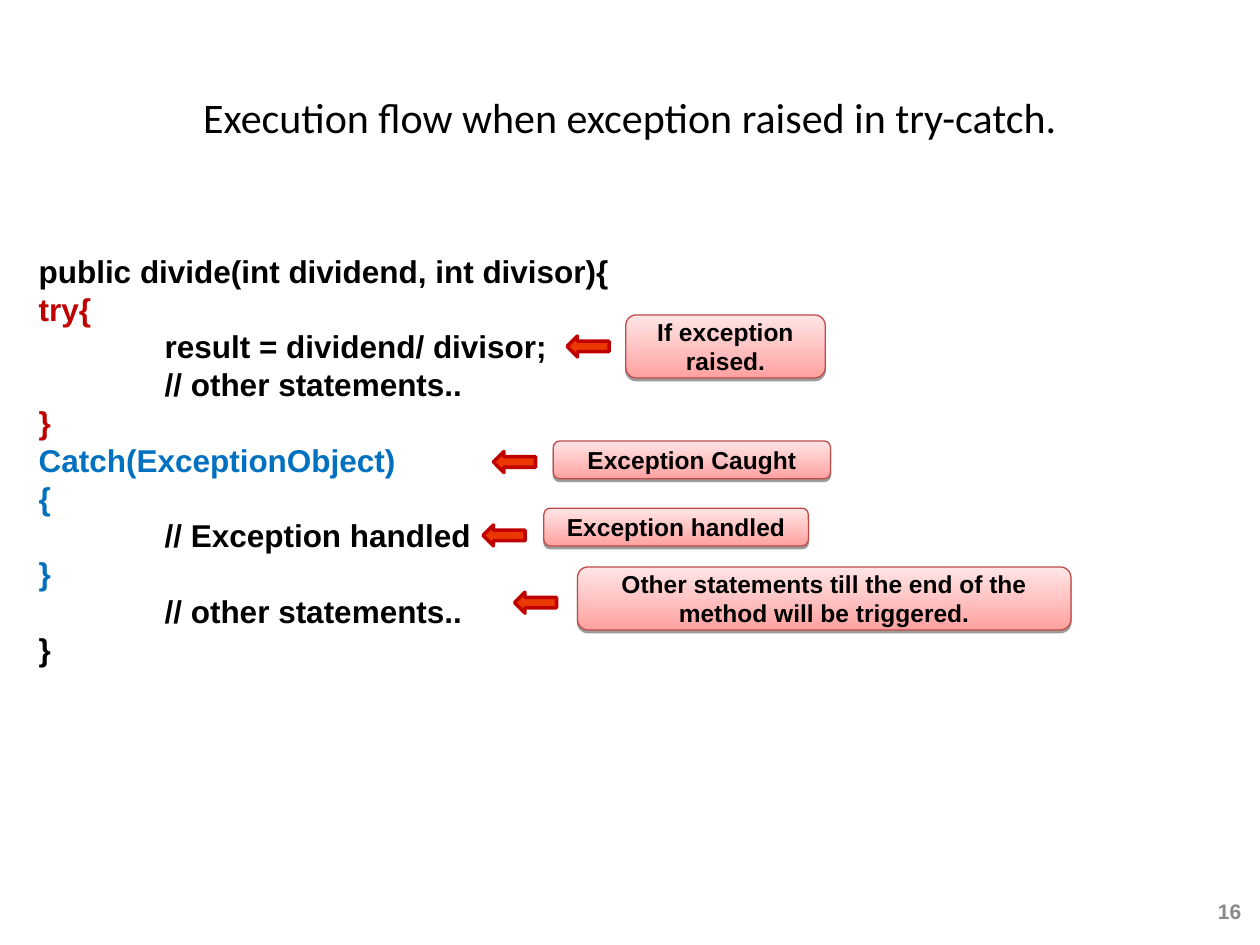
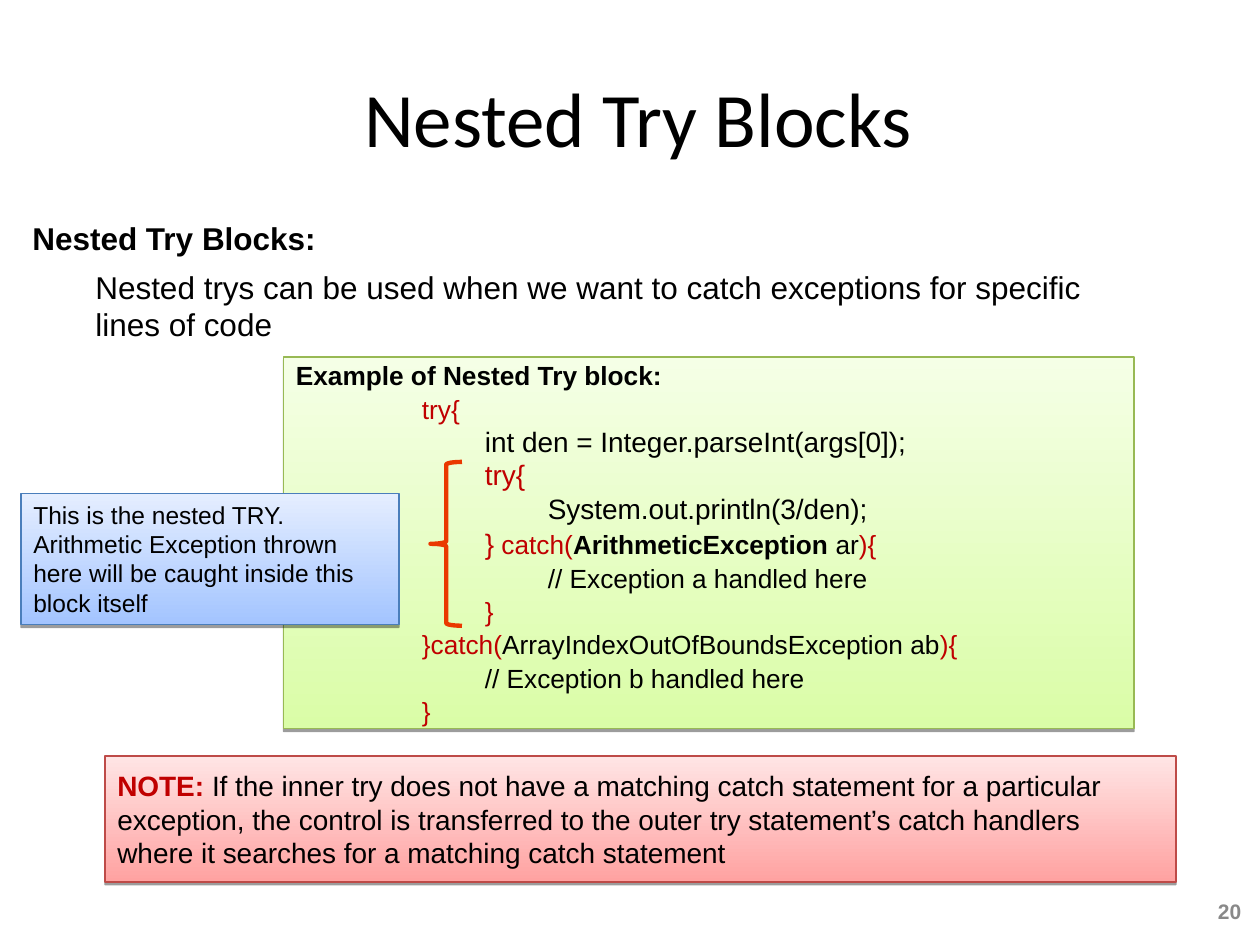
import pptx
import pptx.util
import pptx.dml.color
import pptx.enum.shapes
import pptx.enum.text
import pptx.oxml
import pptx.oxml.ns

Pt = pptx.util.Pt
MSO_SHAPE = pptx.enum.shapes.MSO_SHAPE
PP_ALIGN = pptx.enum.text.PP_ALIGN
MSO_ANCHOR = pptx.enum.text.MSO_ANCHOR

# Shared look
COLORS = {"black": "000000", "red": "C00000", "blue": "0070C0",
          "orange": "EA3800", "gray": "898989"}
# Panel styles: bottom colour, top colour, border
PANELS = {"pink": ("FFA2A1", "FFE5E5", "BE4B48"),
          "green": ("DAFDA7", "F5FFE6", "98B954"),
          "sky": ("A3C4FF", "E5EEFF", "4A7EBB")}
COLUMNS, ROWS = 120, 90
WIDTH, HEIGHT = pptx.util.Inches(10), pptx.util.Inches(7.5)
ARROW_SIZE = (4, 2)


def rgb(value):
    return pptx.dml.color.RGBColor.from_string(value)


def cells(left, top, width, height):
    """Turn grid columns and rows into slide lengths."""
    return (int(left * WIDTH / COLUMNS), int(top * HEIGHT / ROWS),
            int(width * WIDTH / COLUMNS), int(height * HEIGHT / ROWS))


def style_run(r, size, color="black", bold=False, font="Arial"):
    r.font.name, r.font.size, r.font.bold = font, Pt(size), bold
    r.font.color.rgb = rgb(COLORS[color])


def write(p, runs, size, align=PP_ALIGN.LEFT, indent=0, hanging=0, before=0):
    """Fill a paragraph with (text, colour, bold[, size]) runs; indents in inches."""
    pPr = p._p.get_or_add_pPr()
    pPr.set("marL", str(pptx.util.Inches(indent)))
    pPr.set("indent", str(pptx.util.Inches(-hanging)))
    p.alignment = align
    p.space_before = Pt(before)
    for text, color, bold, *own_size in runs:
        r = p.add_run()
        r.text = text
        style_run(r, own_size[0] if own_size else size, color, bold)


def paragraphs(tf):
    """Yield the first paragraph, then new ones."""
    yield tf.paragraphs[0]
    while True:
        yield tf.add_paragraph()


def set_frame(shape, anchor=MSO_ANCHOR.TOP):
    tf = shape.text_frame
    tf.word_wrap = True
    tf.vertical_anchor = anchor
    return tf


def add_text_box(s, box, anchor=MSO_ANCHOR.TOP):
    return set_frame(s.shapes.add_textbox(*cells(*box)), anchor)


def add_panel(s, box, style, shape=MSO_SHAPE.RECTANGLE, anchor=MSO_ANCHOR.TOP):
    """Gradient panel with a thin border and a short shadow below."""
    bottom, top, border = PANELS[style]
    sp = s.shapes.add_shape(shape, *cells(*box))
    sp.fill.gradient()
    sp.fill.gradient_angle = 90
    for stop, color, position in zip(sp.fill.gradient_stops, (bottom, top), (0, 1)):
        stop.color.rgb = rgb(color)
        stop.position = position
    sp.line.color.rgb = rgb(border)
    sp.line.width = Pt(0.75)
    sp.shadow.inherit = False
    effects = sp._element.spPr.find(pptx.oxml.ns.qn("a:effectLst"))
    effects.append(pptx.oxml.parse_xml(
        f'<a:outerShdw {pptx.oxml.ns.nsdecls("a")} blurRad="0" dist="20000" '
        'dir="5400000" rotWithShape="0"><a:srgbClr val="000000">'
        '<a:alpha val="38000"/></a:srgbClr></a:outerShdw>'))
    return set_frame(sp, anchor)


def add_callout(s, text, box, arrow):
    """Rounded pink label with a small arrow pointing at the code."""
    sp = s.shapes.add_shape(MSO_SHAPE.LEFT_ARROW, *cells(*arrow, *ARROW_SIZE))
    sp.shadow.inherit = False
    sp.fill.solid()
    sp.fill.fore_color.rgb = rgb(COLORS["orange"])
    sp.line.color.rgb = rgb(COLORS["red"])
    sp.line.width = Pt(2)
    tf = add_panel(s, box, "pink", MSO_SHAPE.ROUNDED_RECTANGLE, MSO_ANCHOR.MIDDLE)
    write(tf.paragraphs[0], [(text, "black", True)], 14, PP_ALIGN.CENTER)


def add_brace(s, box):
    sp = s.shapes.add_shape(MSO_SHAPE.LEFT_BRACE, *cells(*box))
    sp.shadow.inherit = False
    sp.fill.background()
    sp.line.color.rgb = rgb(COLORS["orange"])
    sp.line.width = Pt(2.5)


def add_slide(prs, title, size, number, shift=0):
    """Slide with a centred title and a page number; shift is in columns."""
    s = prs.slides.add_slide(prs.slide_layouts[5])
    sp = s.shapes.title
    sp.left, sp.top, sp.width, sp.height = cells(6 + shift, 3.6, 108, 15)
    tf = set_frame(sp, MSO_ANCHOR.MIDDLE)
    tf.text = title
    tf.paragraphs[0].alignment = PP_ALIGN.CENTER
    style_run(tf.paragraphs[0].runs[0], size, font="Calibri")
    tf = add_text_box(s, (113.5, 84.7, 5.9, 4.2), MSO_ANCHOR.MIDDLE)
    write(tf.paragraphs[0], [(str(number), "gray", True)], 12, PP_ALIGN.RIGHT)
    return s


def build_execution_flow(prs):
    s = add_slide(prs, "Execution flow when exception raised in try-catch.", 24, 16)

    # Code: indent in inches, text, colour
    code = [(0, "public divide(int dividend, int divisor){", "black"),
            (0, "try{", "red"),
            (1, "result = dividend/ divisor;", "black"),
            (1, "// other statements..", "black"),
            (0, "}", "red"),
            (0, "Catch(ExceptionObject)", "blue"),
            (0, "{", "blue"),
            (1, "// Exception handled", "black"),
            (0, "}", "blue"),
            (1, "// other statements..", "black"),
            (0, "}", "black")]
    tf = add_text_box(s, (2.5, 23.4, 58, 44.4))
    for (indent, text, color), p in zip(code, paragraphs(tf)):
        write(p, [(text, color, True)], 18, indent=indent)

    # Callouts: text, label box, arrow corner
    for text, box, arrow in [
            ("If exception raised.", (59.6, 30, 19, 6), (54, 32)),
            ("Exception Caught", (52.7, 42, 26.4, 3.6), (47, 43)),
            ("Exception handled", (51.8, 48.4, 25.2, 3.6), (46, 50)),
            ("Other statements till the end of the method will be triggered.",
             (55, 54, 47, 6), (49, 56.4))]:
        add_callout(s, text, box, arrow)


def build_nested_try(prs):
    s = add_slide(prs, "Nested Try Blocks", 44, 20, shift=0.8)

    # Example: indent in inches, space before, runs
    example = [
        (1, 1, [("try{", "red", False)]),
        (1.5, 0, [("int den = Integer.parseInt(args[0]);", "black", False, 16)]),
        (1.5, 0, [("try{", "red", False, 16)]),
        (2, 0, [("System.out.println(3/den);", "black", False, 16)]),
        (1.5, 1, [("}", "red", False, 16), (" catch(", "red", False),
                  ("ArithmeticException ", "black", True),
                  ("ar", "black", False), ("){", "red", False)]),
        (2, 1, [("// Exception a handled here", "black", False)]),
        (1.5, 1, [("}", "red", False)]),
        (1, 1, [("}catch(", "red", False),
                ("ArrayIndexOutOfBoundsException ab", "black", False),
                ("){", "red", False)]),
        (1.5, 1, [("// Exception b handled here", "black", False)]),
        (1, 1, [("}", "red", False)])]
    tf = add_panel(s, (27, 34, 81, 35.4), "green")
    tf.margin_top = tf.margin_bottom = pptx.util.Inches(0.02)
    write(tf.paragraphs[0], [("Example of Nested Try block:", "black", True)], 15,
          indent=0.3, hanging=0.3)
    for indent, before, runs in example:
        write(tf.add_paragraph(), runs, 15, indent=indent, before=before)

    # Inner block marker and its explanation
    add_brace(s, (41, 44, 3, 15.6))
    tf = add_panel(s, (2, 47, 36, 12.5), "sky")
    write(tf.paragraphs[0],
          [("This is the nested TRY. Arithmetic Exception thrown here will be "
            "caught inside this block itself", "black", False)], 14)

    # Introduction
    tf = add_text_box(s, (1.9, 20.3, 107, 13.1))
    write(tf.paragraphs[0], [("Nested Try Blocks:", "black", True)], 18)
    write(tf.add_paragraph(),
          [("Nested trys can be used when we want to catch exceptions for "
            "specific lines of code", "black", False)], 18, indent=0.5, before=6)

    # Note
    tf = add_panel(s, (10, 72, 102, 12), "pink", anchor=MSO_ANCHOR.MIDDLE)
    write(tf.paragraphs[0],
          [("NOTE: ", "red", True),
           ("If the inner try does not have a matching catch statement for a "
            "particular exception, the control is transferred to the outer try "
            "statement’s catch handlers where it searches for a matching catch "
            "statement", "black", False)], 16)


def main():
    prs = pptx.Presentation()
    prs.slide_width, prs.slide_height = WIDTH, HEIGHT
    build_execution_flow(prs)
    build_nested_try(prs)
    prs.save("out.pptx")


if __name__ == "__main__":
    main()
